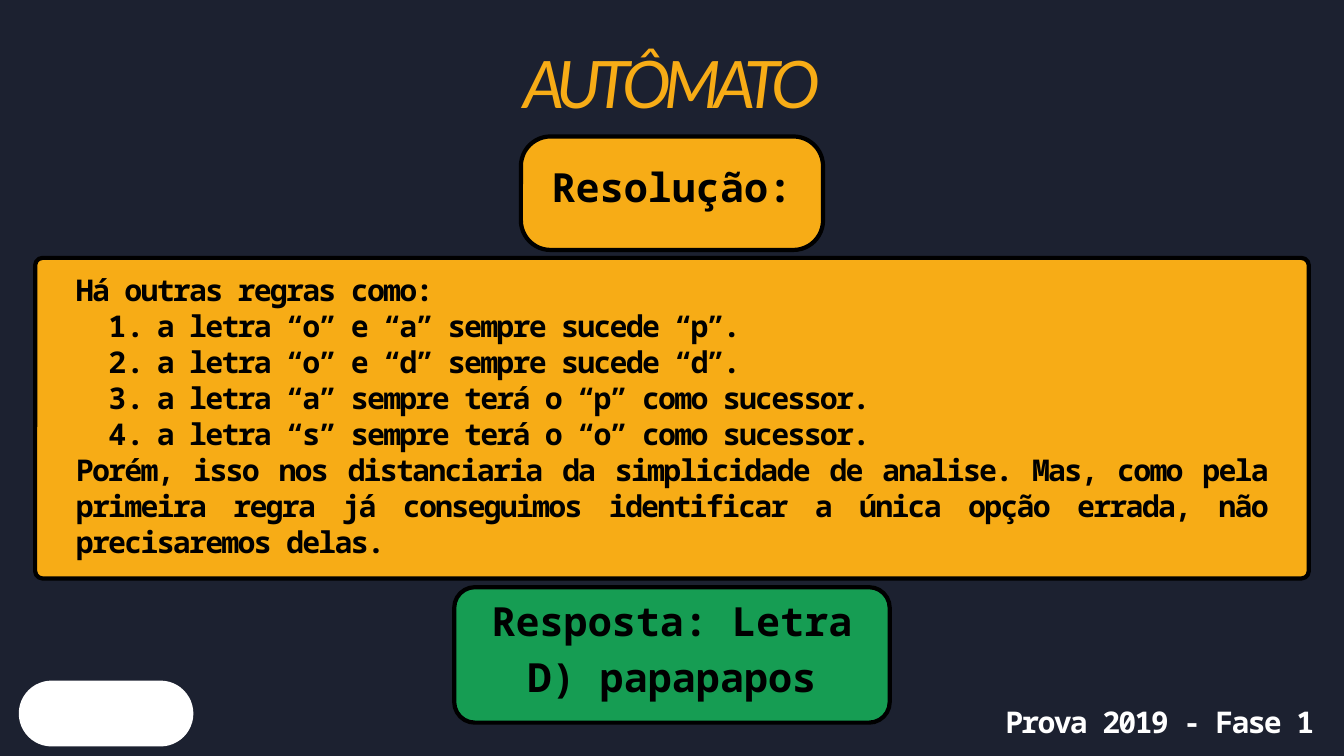
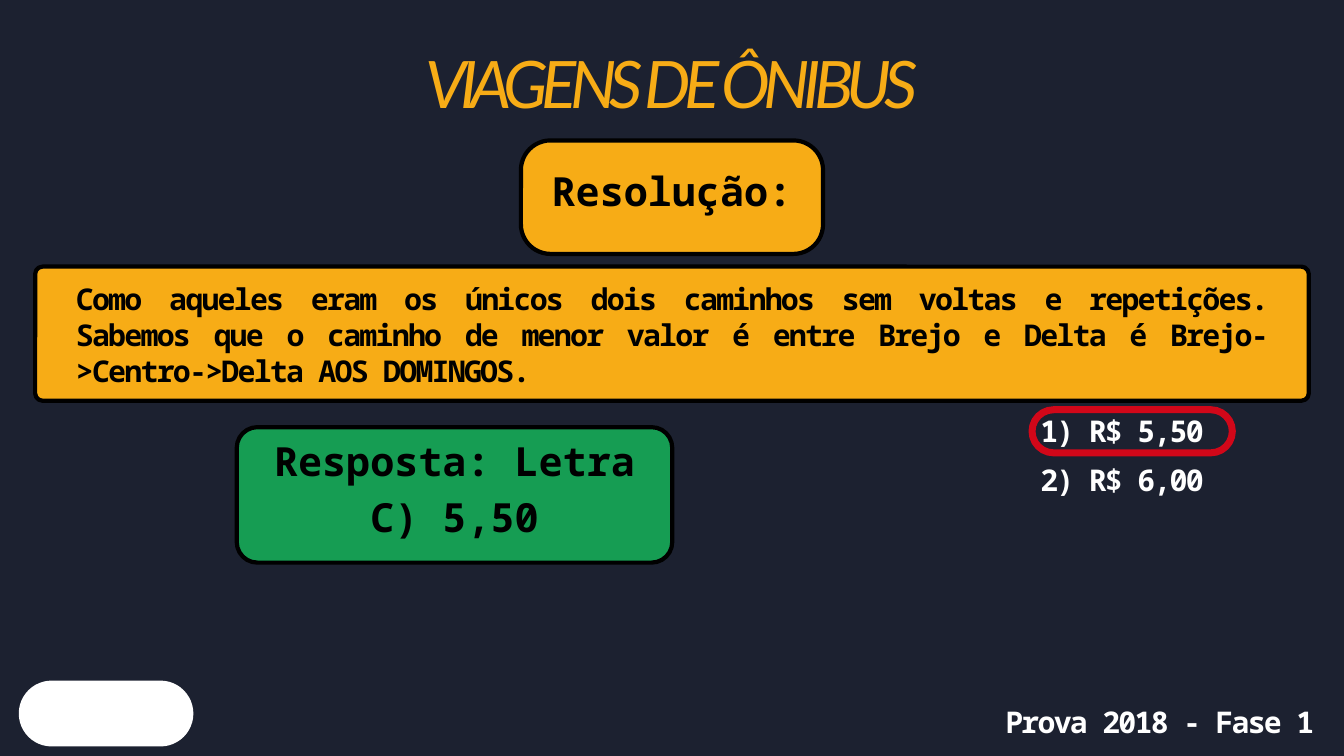
from dataclasses import dataclass
from typing import Optional

from lxml.etree import SubElement
from pptx import Presentation
from pptx.dml.color import RGBColor
from pptx.enum.shapes import MSO_SHAPE as Preset
from pptx.enum.text import MSO_ANCHOR as Anchor, PP_ALIGN as Align
from pptx.oxml.ns import qn
from pptx.slide import Slide
from pptx.util import Cm, Pt


@dataclass(frozen=True)
class TextStyle:
    font: str
    size: float
    color: str
    leading: float
    align: Align
    bold: bool = False
    italic: bool = False
    tracking: float = 0


@dataclass(frozen=True)
class Theme:
    night: str = "1C2130"
    amber: str = "F7AC16"
    green: str = "169D53"
    red: str = "D10719"
    black: str = "000000"
    white: str = "FFFFFF"
    outline: float = 4.5
    ring_outline: float = 7.5
    title: TextStyle = TextStyle("Lato", 70.1, "F7AC16", 96.8, Align.CENTER, italic=True, tracking=-7.2)
    label: TextStyle = TextStyle("Noto Sans Mono", 43, "000000", 60.2, Align.CENTER, bold=True)
    body: TextStyle = TextStyle("Noto Sans Mono", 32.1, "000000", 38.6, Align.JUSTIFY, bold=True, tracking=-1.9)
    price: TextStyle = TextStyle("Noto Sans Mono", 32.1, "FFFFFF", 38.6, Align.JUSTIFY, bold=True, tracking=-1.9)
    footer: TextStyle = TextStyle("Noto Sans Mono", 32, "FFFFFF", 38.4, Align.JUSTIFY, bold=True, tracking=-1.9)


THEME = Theme()
SLIDE_WIDTH, SLIDE_HEIGHT = 50.8, 28.58


@dataclass(frozen=True)
class Box:
    left: float
    top: float
    width: float
    height: float

    def lengths(self) -> tuple[Cm, Cm, Cm, Cm]:
        return Cm(self.left), Cm(self.top), Cm(self.width), Cm(self.height)


@dataclass(frozen=True)
class Line:
    text: str
    numbered: bool = False


@dataclass(frozen=True)
class Solution:
    title: str
    exam: str
    heading_top: float
    panel_top: float
    panel_height: float
    explanation: tuple[Line, ...]
    answer: str
    answer_left: float
    answer_top: float
    prices: tuple[str, ...] = ()


SOLUTIONS = (
    Solution(
        title="AUTÔMATO",
        exam="Prova 2019 - Fase 1",
        heading_top=5.16,
        panel_top=9.75,
        panel_height=12.12,
        explanation=(
            Line("Há outras regras como:"),
            Line("a letra “o” e “a” sempre sucede “p”.", numbered=True),
            Line("a letra “o” e “d” sempre sucede “d”.", numbered=True),
            Line("a letra “a” sempre terá o “p” como sucessor.", numbered=True),
            Line("a letra “s” sempre terá o “o” como sucessor.", numbered=True),
            Line("Porém, isso nos distanciaria da simplicidade de analise. Mas, como pela "
                 "primeira regra já conseguimos identificar a única opção errada, não "
                 "precisaremos delas."),
        ),
        answer="Resposta: Letra D) papapapos",
        answer_left=17.17,
        answer_top=22.2,
    ),
    Solution(
        title="VIAGENS DE ÔNIBUS",
        exam="Prova 2018 - Fase 1",
        heading_top=5.31,
        panel_top=10.08,
        panel_height=5.07,
        explanation=(
            Line("Como aqueles eram os únicos dois caminhos sem voltas e repetições. "
                 "Sabemos que o caminho de menor valor é entre Brejo e Delta é "
                 "Brejo->Centro->Delta AOS DOMINGOS."),
        ),
        answer="Resposta: Letra C) 5,50",
        answer_left=8.95,
        answer_top=16.15,
        prices=("1) R$ 5,50", "2) R$ 6,00"),
    ),
)


def add_rounded(slide: Slide, box: Box, radius: float, fill: Optional[str] = None,
                line: Optional[str] = None, line_width: float = THEME.outline) -> None:
    shape = slide.shapes.add_shape(Preset.ROUNDED_RECTANGLE, *box.lengths())
    shape.shadow.inherit = False
    shape.adjustments[0] = min(0.5, radius / min(box.width, box.height))
    if fill:
        shape.fill.solid()
        shape.fill.fore_color.rgb = RGBColor.from_string(fill)
    else:
        shape.fill.background()
    if line:
        shape.line.color.rgb = RGBColor.from_string(line)
        shape.line.width = Pt(line_width)
    else:
        shape.line.fill.background()


def add_text(slide: Slide, box: Box, lines: tuple[Line, ...], style: TextStyle,
             anchor: Anchor = Anchor.TOP, inset: float = 0) -> None:
    frame = slide.shapes.add_textbox(*box.lengths()).text_frame
    frame.word_wrap = True
    frame.vertical_anchor = anchor
    frame.margin_left = frame.margin_right = Cm(inset)
    frame.margin_top = frame.margin_bottom = Cm(inset)
    for index, line in enumerate(lines):
        paragraph = frame.add_paragraph() if index else frame.paragraphs[0]
        paragraph.alignment = style.align
        paragraph.line_spacing = Pt(style.leading)
        if line.numbered:
            properties = paragraph._p.get_or_add_pPr()
            properties.set("marL", str(Cm(3.06)))
            properties.set("indent", str(Cm(-1.83)))
            SubElement(properties, qn("a:buFont"), typeface=style.font)
            SubElement(properties, qn("a:buAutoNum"), type="arabicPeriod")
        run = paragraph.add_run()
        run.text = line.text
        run.font.name = style.font
        run.font.size = Pt(style.size)
        run.font.bold = style.bold
        run.font.italic = style.italic
        run.font.color.rgb = RGBColor.from_string(style.color)
        if style.tracking:
            run._r.get_or_add_rPr().set("spc", str(round(style.tracking * 100)))


def add_label(slide: Slide, box: Box, radius: float, fill: str, text: str) -> None:
    rise = 0.79
    add_rounded(slide, box, radius, fill, THEME.black)
    text_box = Box(box.left, box.top - rise, box.width, box.height + rise)
    add_text(slide, text_box, (Line(text),), THEME.label, Anchor.MIDDLE, inset=0.1)


def add_explanation(slide: Slide, solution: Solution) -> None:
    panel = Box(1.33, solution.panel_top, 48.14, solution.panel_height)
    add_rounded(slide, panel, 0.28, THEME.amber, THEME.black)
    text_box = Box(2.87, panel.top + 0.51, 45.03, panel.height - 1.1)
    add_text(slide, text_box, solution.explanation, THEME.body)


def add_prices(slide: Slide, prices: tuple[str, ...]) -> None:
    for index, price in enumerate(prices):
        add_text(slide, Box(39.32, 15.6 + 1.83 * index, 6.93, 1.37), (Line(price),), THEME.price)
    if prices:
        add_rounded(slide, Box(39.01, 15.49, 7.57, 1.63), 0.82,
                    line=THEME.red, line_width=THEME.ring_outline)


def add_frame(slide: Slide, title: str, exam: str) -> None:
    slide.background.fill.solid()
    slide.background.fill.fore_color.rgb = RGBColor.from_string(THEME.night)
    add_rounded(slide, Box(0.71, 25.73, 6.6, 2.49), 1.25, THEME.white)
    add_text(slide, Box(3.43, 1.19, 43.94, 3.66), (Line(title),), THEME.title)
    add_text(slide, Box(38, 26.62, 12.27, 1.35), (Line(exam),), THEME.footer)


def add_solution(presentation: Presentation, solution: Solution) -> None:
    slide = presentation.slides.add_slide(presentation.slide_layouts[6])
    add_frame(slide, solution.title, solution.exam)
    heading = Box(19.69, solution.heading_top, 11.42, 4.29)
    add_label(slide, heading, 1.12, THEME.amber, "Resolução:")
    add_explanation(slide, solution)
    add_prices(slide, solution.prices)
    answer = Box(solution.answer_left, solution.answer_top, 16.46, 5.12)
    add_label(slide, answer, 0.78, THEME.green, solution.answer)


def main() -> None:
    presentation = Presentation()
    presentation.slide_width = Cm(SLIDE_WIDTH)
    presentation.slide_height = Cm(SLIDE_HEIGHT)
    for solution in SOLUTIONS:
        add_solution(presentation, solution)
    presentation.save("out.pptx")


if __name__ == "__main__":
    main()
